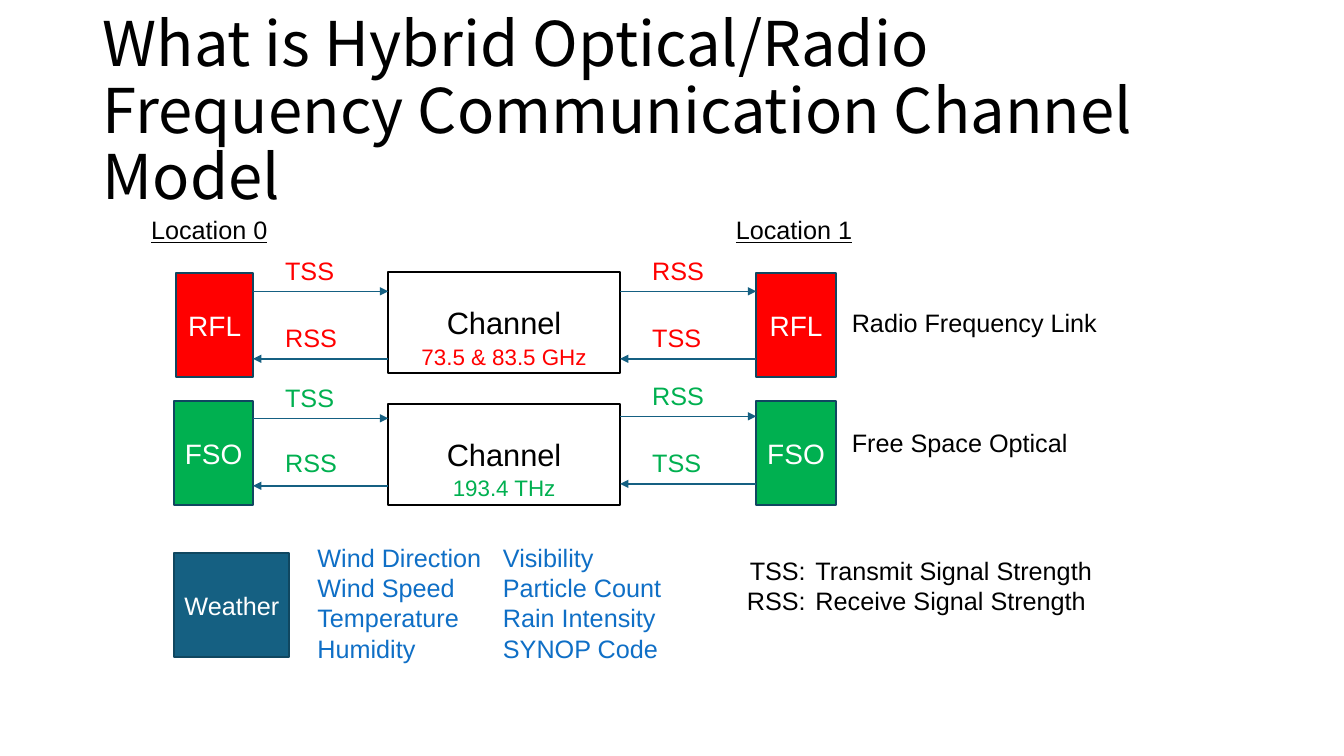
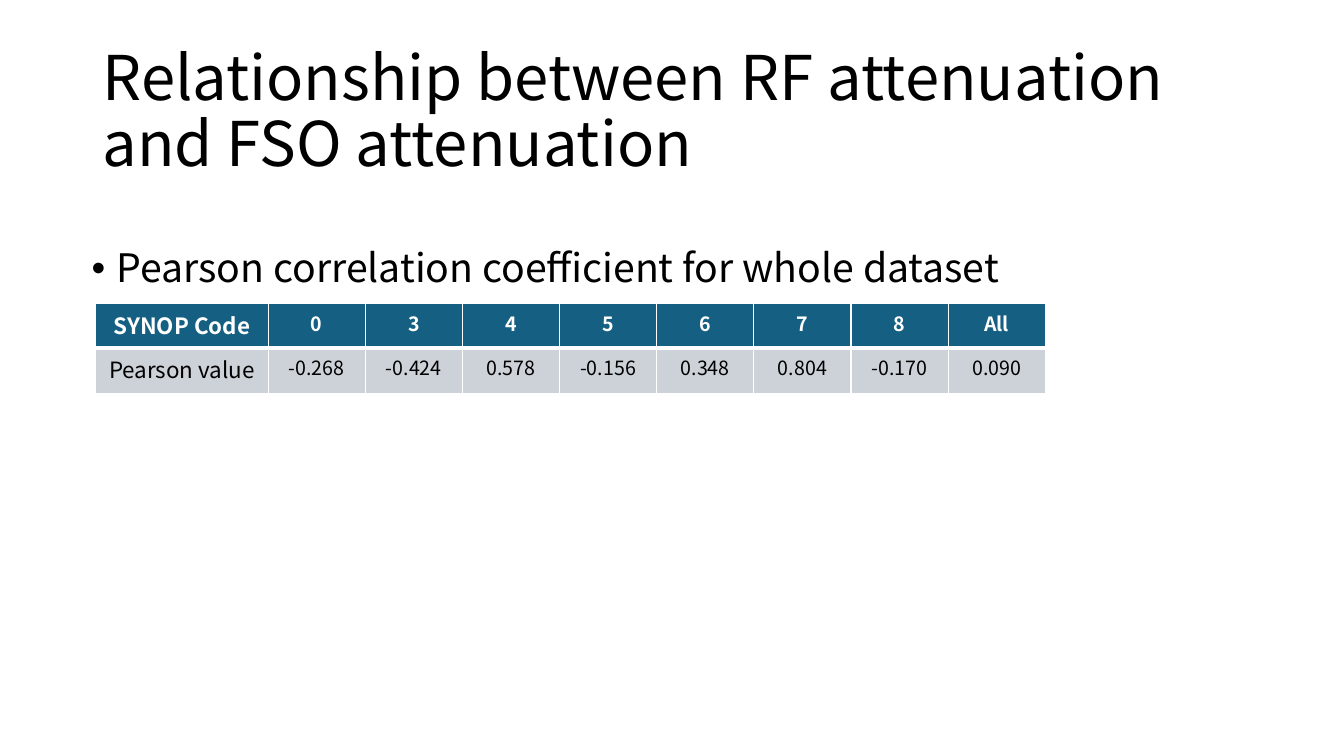
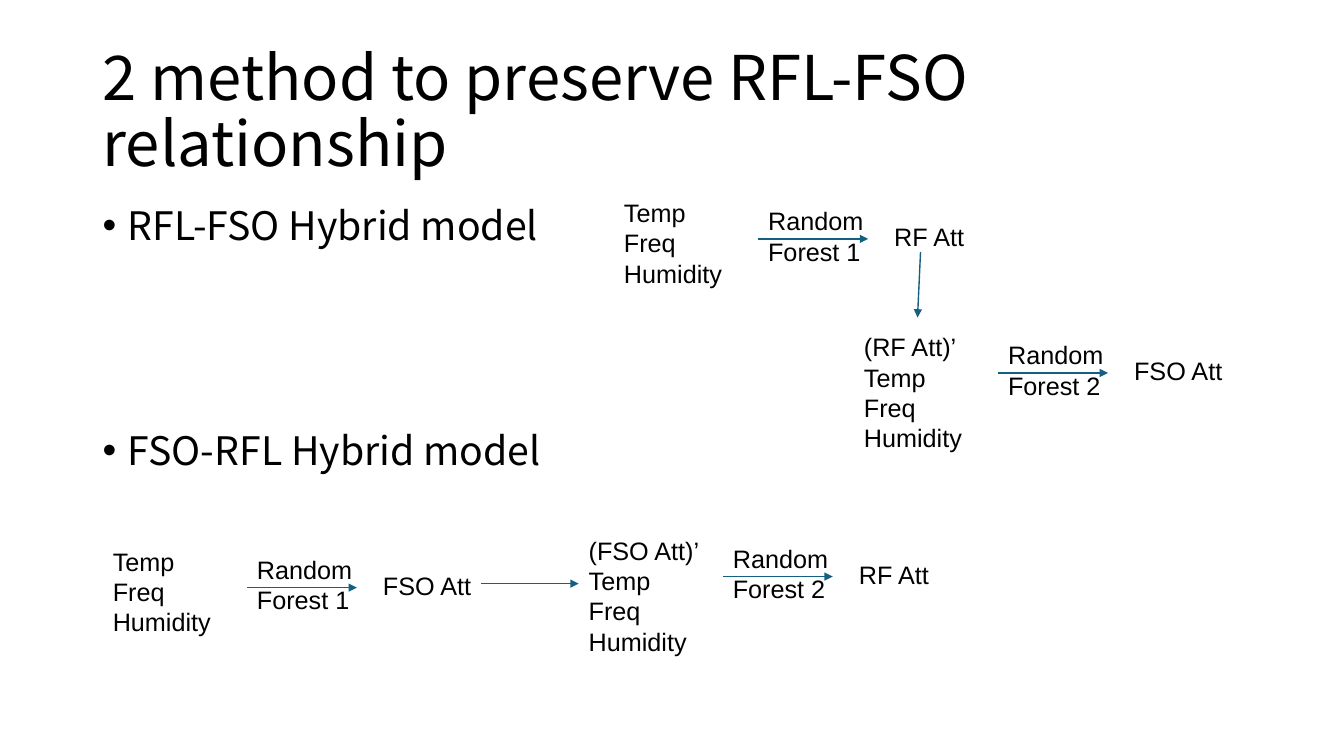
from lxml.etree import SubElement
from pptx import Presentation
from pptx.dml.color import RGBColor
from pptx.enum.shapes import MSO_CONNECTOR as CONN, MSO_SHAPE as SHAPE
from pptx.enum.text import MSO_ANCHOR as ANCHOR, PP_ALIGN as ALIGN
from pptx.oxml import parse_xml
from pptx.oxml.ns import nsdecls, qn
from pptx.util import Emu, Pt

HEAD_FONT, BODY_FONT = "Noto Sans CJK SC", "Arial"
BLACK, WHITE = "000000", "FFFFFF"
TEAL, TEAL_DARK, BLUE = "156082", "104760", "0F6FC6"
RED, GREEN, GREY = "FF0000", "00B050", "CCD2D8"


def px(n):
    return Emu(n * 9144)


def rgb(color):
    return RGBColor.from_string(color)


def style(p, size, color, font=BODY_FONT, align=ALIGN.LEFT, bold=False):
    p.font.size, p.font.name, p.font.bold = Pt(size), font, bold
    p.font.color.rgb = rgb(color)
    p.alignment = align


def text(sl, x, y, w, h, lines, size=18, color=BLACK, font=BODY_FONT,
         align=ALIGN.LEFT):
    tf = sl.shapes.add_textbox(px(x), px(y), px(w), px(h)).text_frame
    tf.word_wrap = True
    tf.text = "\n".join(lines)
    for p in tf.paragraphs:
        style(p, size, color, font, align)
    return tf


def box(sl, x, y, w, h, label, size, fill=None, line=TEAL_DARK, color=WHITE):
    sp = sl.shapes.add_shape(SHAPE.RECTANGLE, px(x), px(y), px(w), px(h))
    sp.shadow.inherit = False
    if fill:
        sp.fill.solid()
        sp.fill.fore_color.rgb = rgb(fill)
    else:
        sp.fill.background()
    sp.line.color.rgb = rgb(line)
    sp.line.width = Pt(1.5)
    tf = sp.text_frame
    tf.word_wrap = False
    tf.vertical_anchor = ANCHOR.MIDDLE
    tf.text = label
    style(tf.paragraphs[0], size, color, align=ALIGN.CENTER)


def arrow(sl, x1, y1, x2, y2):
    c = sl.shapes.add_connector(CONN.STRAIGHT, px(x1), px(y1), px(x2), px(y2))
    c.line.color.rgb = rgb(TEAL)
    c.line.width = Pt(1)
    sp_pr = c.element.spPr
    SubElement(sp_pr.find(qn("a:ln")), qn("a:tailEnd"), type="triangle")
    SubElement(sp_pr, qn("a:effectLst"))


def titled_slide(prs, title):
    sl = prs.slides.add_slide(prs.slide_layouts[6])
    tf = text(sl, 92, 40, 1150, 145, [title], 44, font=HEAD_FONT)
    tf.vertical_anchor = ANCHOR.MIDDLE
    tf.paragraphs[0].line_spacing = 0.9
    return sl


def bullet(sl, x, y, line):
    p = text(sl, x, y, 1150, 60, [line], 28, font=HEAD_FONT).paragraphs[0]
    p.line_spacing, p.space_before = 0.9, Pt(10)
    p_pr = p._p.get_or_add_pPr()
    p_pr.set("marL", str(px(25)))
    p_pr.set("indent", str(px(-25)))
    SubElement(p_pr, qn("a:buFont"), typeface="Arial")
    SubElement(p_pr, qn("a:buChar"), char="•")


def link_row(sl, x, y, name, color, meaning, freq, left_w, channel_y, freq_y,
             left_y, right_y, label_y, meaning_y):
    box(sl, x + 78 - left_w, y, left_w, 103, name, 20, color)
    box(sl, x + 577, y, 79, 103, name, 20, color)
    box(sl, x + 212, y + channel_y, 230, 100, "Channel", 22, None, BLACK, BLACK)
    text(sl, x + 212, y + freq_y, 230, 37, [freq], 16, color, align=ALIGN.CENTER)
    text(sl, x + 662, y + meaning_y, 278, 40, [meaning])
    sides = [(78, 212, 100, left_y, ("TSS", "RSS")),
             (442, 577, 464, right_y, ("RSS", "TSS"))]
    for start, end, label_x, top, (sent, back) in sides:
        arrow(sl, x + start, y + top, x + end, y + top)
        arrow(sl, x + end, y + top + 67, x + start, y + top + 67)
        text(sl, x + label_x, y + top - 41, 90, 40, [sent], color=color)
        text(sl, x + label_x, y + label_y, 90, 40, [back], color=color)


def weather(sl, x, y):
    box(sl, x, y + 16, 114, 103, "Weather", 18, TEAL)
    text(sl, x + 132, y, 190, 131,
         ["Wind Direction", "Wind Speed", "Temperature", "Humidity"], color=BLUE)
    text(sl, x + 316, y, 196, 131,
         ["Visibility", "Particle Count", "Rain Intensity", "SYNOP Code"],
         color=BLUE)


def legend(sl, x, y):
    text(sl, x, y, 94, 71, ["TSS:", "RSS:"], align=ALIGN.RIGHT)
    text(sl, x + 84, y, 373, 71,
         ["Transmit Signal Strength", "Receive Signal Strength"])


def cell_borders(cell, widths):
    tc_pr = cell._tc.get_or_add_tcPr()
    for i, (side, width) in enumerate(zip("LRTB", widths)):
        tc_pr.insert(i, parse_xml(
            f'<a:ln{side} {nsdecls("a")} w="{Pt(width)}"><a:solidFill>'
            f'<a:srgbClr val="{WHITE}"/></a:solidFill></a:ln{side}>'))


def pearson_table(sl, x, y, w, first_w, pairs):
    heads, values = zip(*pairs)
    rows = [(44, heads, TEAL, WHITE, True, (1, 1, 1, 3)),
            (46, values, GREY, BLACK, False, (1, 1, 3, 1))]
    table = sl.shapes.add_table(2, len(pairs), px(x), px(y), px(w), px(90)).table
    for i, col in enumerate(table.columns):
        col.width = Emu(px(w - first_w) // (len(pairs) - 1)) if i else px(first_w)
    for r, (height, words, fill, color, bold, widths) in enumerate(rows):
        table.rows[r].height = px(height)
        for c, word in enumerate(words):
            cell = table.cell(r, c)
            cell.text = word
            cell.fill.solid()
            cell.fill.fore_color.rgb = rgb(fill)
            style(cell.text_frame.paragraphs[0], 14 if c else 16, color,
                  HEAD_FONT, ALIGN.CENTER, bold)
            cell_borders(cell, widths)


def forest_step(sl, x, y, inputs, number, output):
    text(sl, x, y, 161, 131, inputs)
    arrow(sl, x + 143, y + 46, x + 252, y + 46)
    text(sl, x + 268, y + 24, 161, 71, [output])
    text(sl, x + 143, y + 8, 161, 101, ["Random", f"Forest {number}"])


def channel_slide(prs):
    sl = titled_slide(
        prs, "What is Hybrid Optical/Radio Frequency Communication Channel Model")
    for i, x in enumerate((140, 720)):
        tf = text(sl, x, 208, 150, 40, [f"Location {i}"])
        tf.paragraphs[0].font.underline = True
    link_row(sl, 173, 271, "RFL", RED, "Radio Frequency Link", "73.5 & 83.5 GHz",
             left_w=76, channel_y=-1, freq_y=65, left_y=18, right_y=18,
             label_y=44, meaning_y=29)
    link_row(sl, 173, 398, "FSO", GREEN, "Free Space Optical", "193.4 THz",
             left_w=78, channel_y=3, freq_y=67, left_y=17, right_y=15,
             label_y=41, meaning_y=21)
    weather(sl, 173, 533)
    legend(sl, 715, 546)


def pearson_slide(prs):
    sl = titled_slide(prs, "Relationship between RF attenuation and FSO attenuation")
    bullet(sl, 81, 242, "Pearson correlation coefficient for whole dataset")
    pearson_table(sl, 95, 301, 942, 171, [
        ("SYNOP Code", "Pearson value"), ("0", "-0.268"), ("3", "-0.424"),
        ("4", "0.578"), ("5", "-0.156"), ("6", "0.348"), ("7", "0.804"),
        ("8", "-0.170"), ("All", "0.090")])


def methods_slide(prs):
    sl = titled_slide(prs, "2 method to preserve RFL-FSO relationship")
    inputs = ["Temp", "Freq", "Humidity"]
    bullet(sl, 92, 200, "RFL-FSO Hybrid model")
    forest_step(sl, 609, 191, inputs, 1, "RF Att")
    arrow(sl, 913, 250, 910, 315)
    forest_step(sl, 847, 324, ["(RF Att)’"] + inputs, 2, "FSO Att")
    bullet(sl, 92, 423, "FSO-RFL Hybrid model")
    forest_step(sl, 102, 537, inputs, 1, "FSO Att")
    arrow(sl, 477, 579, 574, 579)
    forest_step(sl, 574, 526, ["(FSO Att)’"] + inputs, 2, "RF Att")


def main():
    prs = Presentation()
    prs.slide_width, prs.slide_height = px(1333), px(750)
    channel_slide(prs)
    pearson_slide(prs)
    methods_slide(prs)
    prs.save("out.pptx")


if __name__ == "__main__":
    main()
